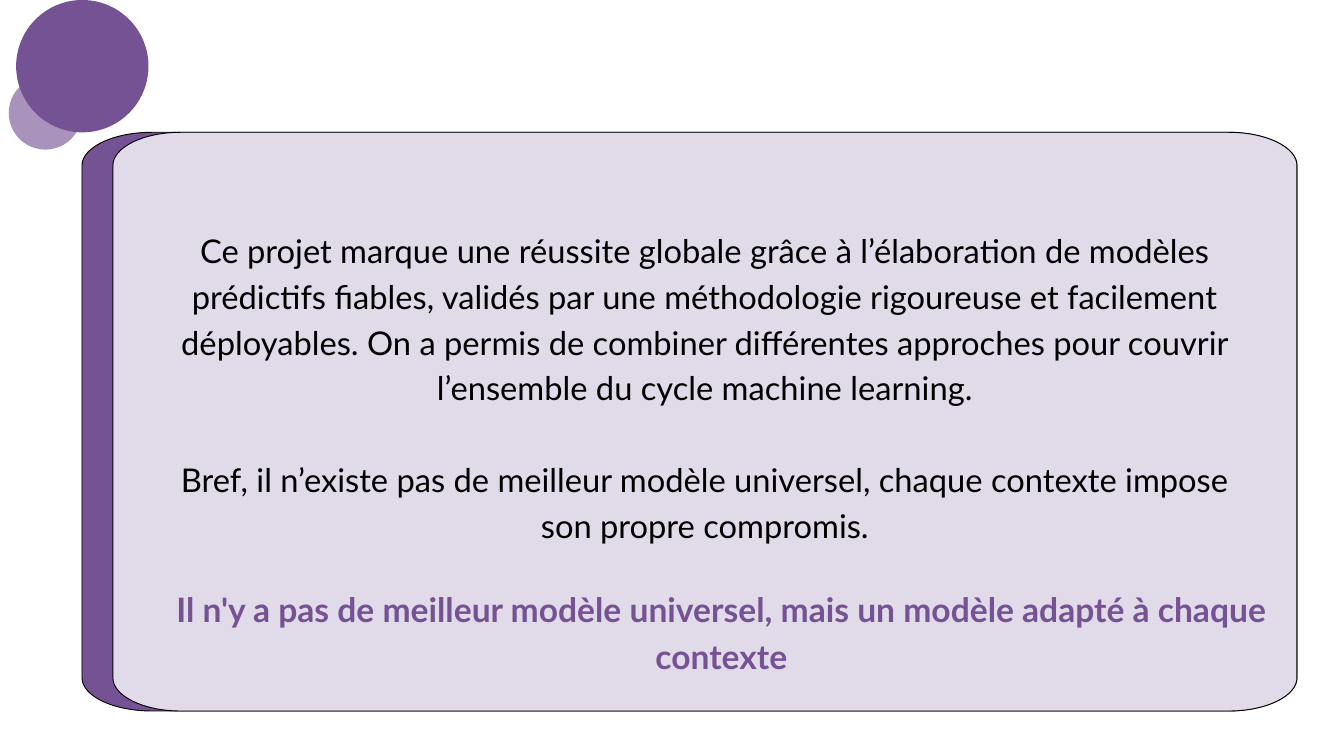
from dataclasses import dataclass

from lxml import etree
from pptx import Presentation
from pptx import util as u
from pptx.dml.color import RGBColor
from pptx.enum import shapes, text
from pptx.oxml.ns import qn


@dataclass(frozen=True)
class Theme:
    purple: RGBColor = RGBColor(0x75, 0x52, 0x94)
    white: RGBColor = RGBColor(0xFF, 0xFF, 0xFF)
    black: RGBColor = RGBColor(0, 0, 0)
    font: str = "Lato"
    body: int = 35
    closing: int = 36
    leading: float = 1.4


theme = Theme()
deck = Presentation()
deck.slide_width, deck.slide_height = u.Inches(20), u.Inches(11.25)
slide = deck.slides.add_slide(deck.slide_layouts[6])

# Grid of 100 columns by 100 rows
column, row = deck.slide_width / 100, deck.slide_height / 100


def paint(shape, color, opacity=100):
    shape.shadow.inherit = False
    shape.fill.solid()
    shape.fill.fore_color.rgb = color
    if opacity < 100:
        tint = shape.fill._xPr.find(qn("a:solidFill"))[0]
        etree.SubElement(tint, qn("a:alpha"), val=str(opacity * 1000))


def write(area, paragraphs, size, color, bold=False):
    left, top, width, height = area
    frame = slide.shapes.add_textbox(
        round(left * column), round(top * row), round(width * column), round(height * row)
    ).text_frame
    frame.word_wrap = True
    frame.margin_left = frame.margin_right = frame.margin_top = frame.margin_bottom = 0
    frame.text = "\n".join(paragraphs)
    leading = u.Pt(size * theme.leading)
    for index, paragraph in enumerate(frame.paragraphs):
        paragraph.alignment = text.PP_ALIGN.CENTER
        paragraph.line_spacing = leading
        if index:
            paragraph.space_before = leading
        for run in paragraph.runs:
            run.font.name, run.font.size = theme.font, u.Pt(size)
            run.font.bold = bold
            run.font.color.rgb = color


# Two stacked panels with elliptical corners, sharing their right edge
top, right, bottom = 17.5, 96.5, 94.05
corner_y, roundness = 4.4, 0.55
for left, corner_x, color, opacity in ((6.1, 5.2, theme.purple, 100),
                                       (8.4, 5.05, theme.white, 79)):
    near, far = left + corner_x, right - corner_x
    high, low = top + corner_y, bottom - corner_y
    # Entry, tip and exit of each corner
    outline = [(round(x * column), round(y * row)) for x, y in (
        (near, top), (left, top), (left, high),
        (left, low), (left, bottom), (near, bottom),
        (far, bottom), (right, bottom), (right, low),
        (right, high), (right, top), (far, top))]
    builder = slide.shapes.build_freeform(*outline[0])
    builder.add_line_segments(outline[1:], close=True)
    panel = builder.convert_to_shape()

    # Turn the two lines around each tip into one curve
    steps = list(panel._element.find(".//" + qn("a:path")))
    for start in range(0, len(outline), 3):
        entry, tip, leave = ((int(step[0].get("x")), int(step[0].get("y")))
                             for step in steps[start:start + 3])
        curve = etree.Element(qn("a:cubicBezTo"))
        for end, pull in ((entry, roundness), (leave, roundness), (leave, 0)):
            x, y = (round(a + pull * (b - a)) for a, b in zip(end, tip))
            etree.SubElement(curve, qn("a:pt"), x=str(x), y=str(y))
        steps[start + 1].addprevious(curve)
        for line in steps[start + 1:start + 3]:
            line.getparent().remove(line)

    paint(panel, color, opacity)
    panel.line.color.rgb = theme.black
    panel.line.width = u.Pt(1)

# Conclusion and closing message
write((13.15, 29.7, 78.6, 47.9), (
    "Ce projet marque une réussite globale grâce à l’élaboration de modèles prédictifs "
    "fiables, validés par une méthodologie rigoureuse et facilement déployables. On a permis "
    "de combiner différentes approches pour couvrir l’ensemble du cycle machine learning.",
    "Bref, il n’existe pas de meilleur modèle universel, chaque contexte impose son propre "
    "compromis.",
), theme.body, theme.black)
write((10.85, 77, 85.65, 12.2), (
    "Il n'y a pas de meilleur modèle universel, mais un modèle adapté à chaque contexte",
), theme.closing, theme.purple, bold=True)

# Corner circles
for left, top, diameter, opacity in ((1.2, 0, 9.85, 100), (0.65, 10.1, 5.45, 62)):
    side = round(diameter * column)
    circle = slide.shapes.add_shape(
        shapes.MSO_SHAPE.OVAL, round(left * column), round(top * row), side, side)
    paint(circle, theme.purple, opacity)
    circle.line.fill.background()

deck.save("out.pptx")
